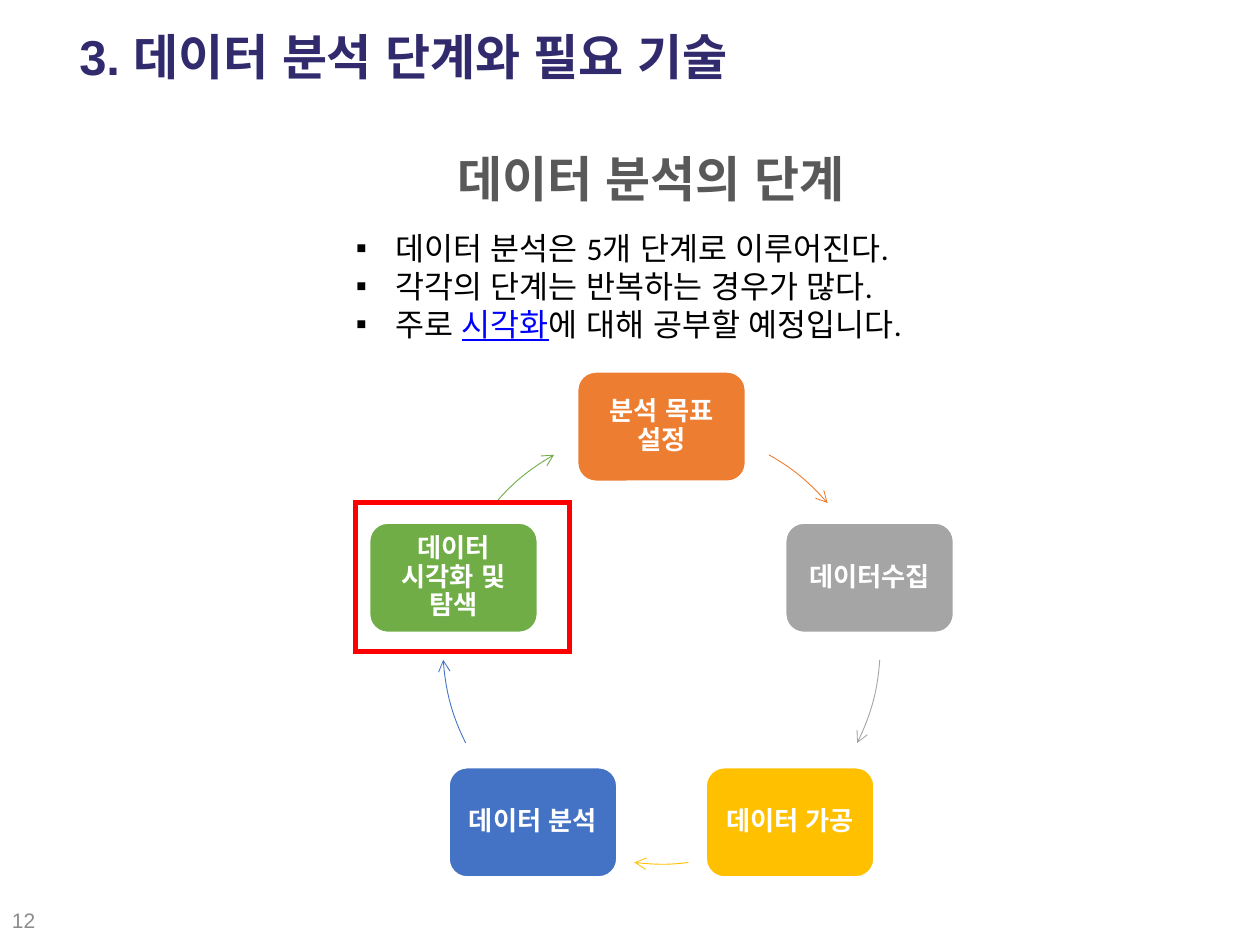
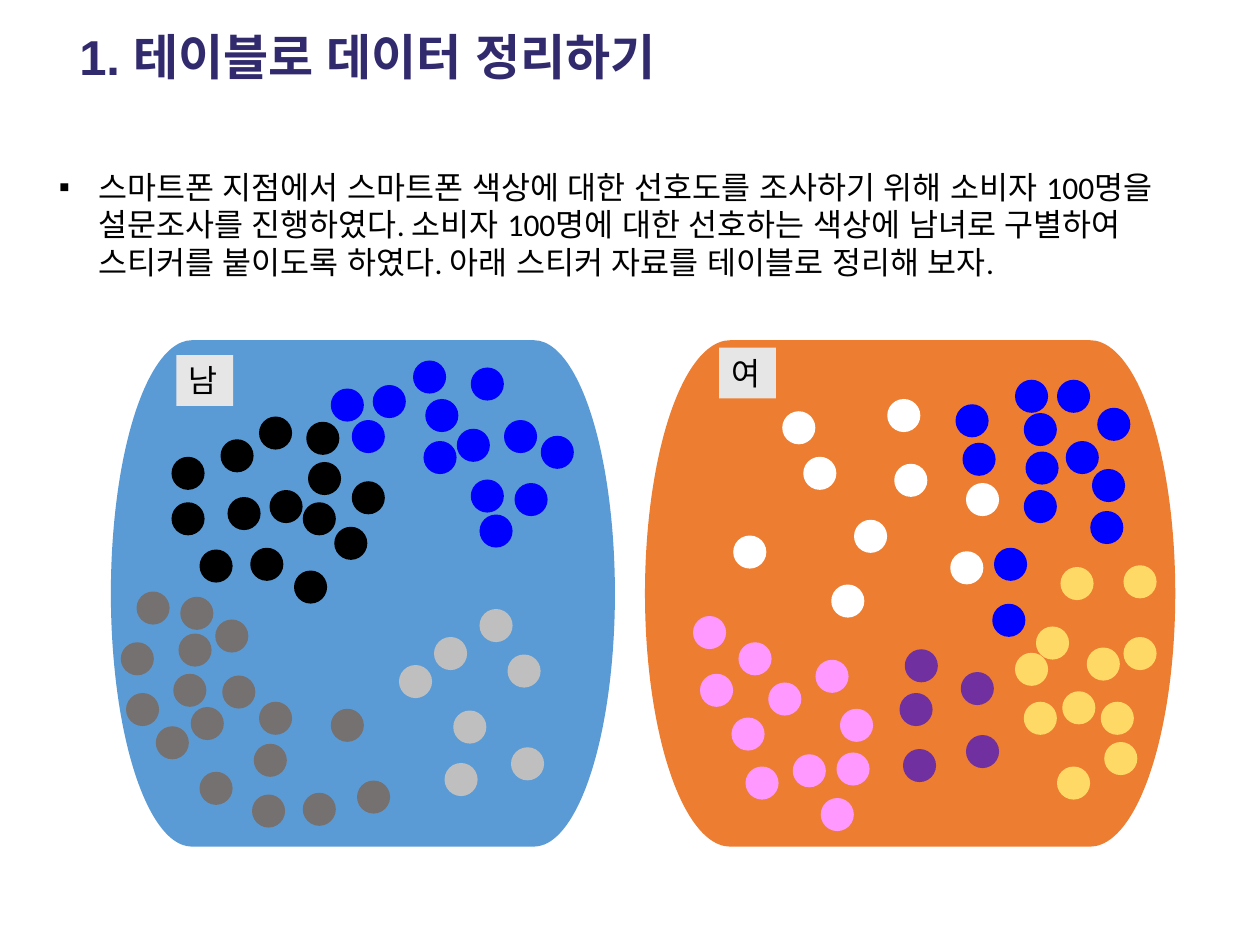
from math import cos, radians, sin, tan

from lxml import etree
from pptx import Presentation
from pptx import util as u
from pptx.dml.color import RGBColor
from pptx.enum import shapes, text
from pptx.oxml.ns import qn

Pt = u.Pt
SHAPE = shapes.MSO_SHAPE
ALIGN = text.PP_ALIGN
ANCHOR = text.MSO_ANCHOR

WHITE, BLACK, RED, BLUE = "FFFFFF", "000000", "FF0000", "0000FF"
ORANGE, GREY, GOLD, INDIGO, GREEN = "ED7D31", "A5A5A5", "FFC000", "4472C4", "70AD47"
SKY, LABEL_FILL = "5B9BD5", "E7E6E6"
TITLE_COLOR, HEADING_COLOR, NUMBER_COLOR = "312A6D", "595959", "8C8C8C"
HANGUL_FONT = "Arial"

CYCLE_X, CYCLE_Y, CYCLE_R = 378, 368.8, 125
STEP_W, STEP_H = 96, 62.6
DOT = 18.9

# Step text, colour, and start and end angle of the arrow that follows it
STEPS = [
    ("분석 목표 설정", ORANGE, 29.4, 49.4),
    ("데이터수집", GREY, 93.8, 116.5),
    ("데이터 가공", GOLD, 172.9, 187.1),
    ("데이터 분석", INDIGO, 243.5, 266.2),
    ("데이터 시각화 및 탐색", GREEN, 310.6, 330.6),
]

# Left and top of each sticker, by group and colour
MEN = {
    "000000": [(98, 261), (98, 287), (148, 238), (114, 314), (176, 264), (154, 280),
               (143, 313), (130, 284), (175, 241), (168, 326), (126, 251), (201, 275),
               (173, 287), (191, 301)],
    "0000FF": [(189, 222), (213, 220), (243, 228), (261, 245), (242, 252), (269, 210),
               (269, 274), (288, 240), (294, 276), (274, 294), (201, 240), (236, 206),
               (309, 249)],
    "767171": [(78, 338), (103, 341), (102, 362), (123, 354), (127, 386), (109, 404),
               (114, 441), (69, 367), (145, 425), (148, 401), (72, 396), (189, 405),
               (144, 454), (99, 385), (173, 453), (204, 446), (89, 415)],
    "BFBFBF": [(248, 364), (228, 380), (274, 348), (290, 374), (259, 406), (292, 427),
               (254, 436)],
}
WOMEN = {
    "FFFFFF": [(447, 235), (459, 261), (419, 306), (488, 297), (511, 265), (543, 315),
               (475, 334), (552, 276), (507, 228)],
    "0000FF": [(580, 217), (604, 217), (627, 233), (609, 252), (550, 253), (624, 268),
               (623, 292), (568, 313), (567, 345), (585, 236), (546, 231), (586, 258),
               (585, 280)],
    "FF99FF": [(396, 352), (422, 367), (400, 385), (439, 390), (418, 410), (453, 431),
               (466, 377), (478, 430), (426, 438), (469, 456), (480, 405)],
    "7030A0": [(517, 371), (514, 396), (549, 384), (552, 420), (516, 428)],
    "FFD966": [(592, 358), (580, 373), (606, 324), (585, 401), (604, 438), (642, 323),
               (642, 364), (621, 370), (629, 401), (607, 395), (631, 424)],
}


def paint(fmt, color):
    """Set a fill, or clear it when the colour is None."""
    if color is None:
        fmt.background()
    else:
        fmt.solid()
        fmt.fore_color.rgb = RGBColor.from_string(color)


def add_bullet(p, indent=22.5):
    pPr = p._p.get_or_add_pPr()
    pPr.set("marL", str(Pt(indent)))
    pPr.set("indent", str(-Pt(indent)))
    etree.SubElement(pPr, qn("a:buFont")).set("typeface", "Arial")
    etree.SubElement(pPr, qn("a:buChar")).set("char", "▪")


def write(sp, paragraphs, size=18, font="Calibri", color=BLACK, bold=False,
          align=ALIGN.LEFT, anchor=ANCHOR.TOP, bullet=False, spacing=None,
          inset=None, wrap=True):
    """Fill a shape with paragraphs, each a list of (text, accent colour or None)."""
    tf = sp.text_frame
    tf.word_wrap = wrap
    tf.vertical_anchor = anchor
    if inset is not None:
        tf.margin_left = tf.margin_right = tf.margin_top = tf.margin_bottom = Pt(inset)
    for i, parts in enumerate(paragraphs):
        p = tf.add_paragraph() if i else tf.paragraphs[0]
        if bullet:
            add_bullet(p)
        p.alignment = align
        if spacing:
            p.line_spacing = spacing
        for words, accent in parts:
            r = p.add_run()
            r.text = words
            r.font.size, r.font.name, r.font.bold = Pt(size), font, bold
            r.font.underline = True if accent else None
            paint(r.font.fill, accent or color)
            rPr = r._r.get_or_add_rPr()
            etree.SubElement(rPr, qn("a:ea")).set("typeface", HANGUL_FONT)


def add_text(s, box, paragraphs, **fmt):
    write(s.shapes.add_textbox(*map(Pt, box)), paragraphs, **fmt)


def add_line_detail(sp, tag, **attributes):
    """Append a join or arrowhead element to the outline of a shape."""
    etree.SubElement(sp._element.spPr.find(qn("a:ln")), qn(tag), attributes)


def add_box(s, kind, box, fill=None, line=None, width=1):
    sp = s.shapes.add_shape(kind, *map(Pt, box))
    sp.shadow.inherit = False
    paint(sp.fill, fill)
    paint(sp.line.fill, line)
    if line:
        sp.line.width = Pt(width)
        add_line_detail(sp, "a:miter", lim="800000")
    return sp


def add_slide(prs, title):
    s = prs.slides.add_slide(prs.slide_layouts[6])
    add_text(s, (38.2, 11.5, 539, 41), [[(title, None)]],
             size=28, font="Arial", color=TITLE_COLOR, bold=True)
    return s


def on_cycle(angle):
    """Point of the cycle at a clockwise angle in degrees from the top."""
    a = radians(angle)
    return CYCLE_X + CYCLE_R * sin(a), CYCLE_Y - CYCLE_R * cos(a)


def frame_on_cycle(sp, path):
    """Give an arc the frame of the whole cycle, keeping its points in place."""
    left, top, side = Pt(CYCLE_X - CYCLE_R), Pt(CYCLE_Y - CYCLE_R), Pt(2 * CYCLE_R)
    for point in path.iter(qn("a:pt")):
        point.set("x", str(int(point.get("x")) + sp.left - left))
        point.set("y", str(int(point.get("y")) + sp.top - top))
    path.set("w", str(side))
    path.set("h", str(side))
    sp.left, sp.top, sp.width, sp.height = left, top, side, side


def add_arc_arrow(s, start, end, color):
    """Draw one Bézier arc along the cycle, with an open arrowhead."""
    reach = 4 / 3 * tan(radians(end - start) / 4) * CYCLE_R

    def handle(angle, step):
        x, y = on_cycle(angle)
        return x + step * cos(radians(angle)), y + step * sin(radians(angle))

    first, *rest = [tuple(map(Pt, point)) for point in (
        on_cycle(start), handle(start, reach), handle(end, -reach), on_cycle(end))]
    builder = s.shapes.build_freeform(*first)
    builder.add_line_segments(rest, close=False)
    sp = builder.convert_to_shape()
    path = sp._element.find(".//" + qn("a:path"))
    curve = etree.SubElement(path, qn("a:cubicBezTo"))
    for segment in path.findall(qn("a:lnTo")):
        curve.append(segment[0])
        path.remove(segment)
    frame_on_cycle(sp, path)
    sp.shadow.inherit = False
    paint(sp.fill, None)
    paint(sp.line.fill, color)
    sp.line.width = Pt(0.5)
    add_line_detail(sp, "a:tailEnd", type="arrow")


def add_step(s, angle, words, color):
    x, y = on_cycle(angle)
    sp = add_box(s, SHAPE.ROUNDED_RECTANGLE,
                 (x - STEP_W / 2, y - STEP_H / 2, STEP_W, STEP_H), color, WHITE)
    write(sp, [[(words, None)]], size=15, color=WHITE, bold=True, align=ALIGN.CENTER,
          anchor=ANCHOR.MIDDLE, spacing=0.9, inset=4.3)


def add_group(s, label, label_at, panel, color, stickers):
    """Draw one panel with its label and stickers."""
    add_box(s, SHAPE.FLOWCHART_TERMINATOR, panel, color)
    sp = add_box(s, SHAPE.RECTANGLE, (*label_at, 32.4, 29), LABEL_FILL)
    write(sp, [[(label, None)]], wrap=False)
    sp.text_frame.auto_size = text.MSO_AUTO_SIZE.SHAPE_TO_FIT_TEXT
    for dot_color, places in stickers.items():
        for x, y in places:
            add_box(s, SHAPE.FLOWCHART_CONNECTOR, (x, y, DOT, DOT), dot_color)


def build_cycle_slide(prs):
    s = add_slide(prs, "3. 데이터 분석 단계와 필요 기술")
    add_text(s, (0, 511, 27, 29), [[("12", None)]], size=12, font="Arial",
             color=NUMBER_COLOR, align=ALIGN.CENTER, anchor=ANCHOR.MIDDLE, inset=0)
    add_text(s, (153.4, 81.4, 437, 41), [[("데이터 분석의 단계", None)]], size=28,
             font="Arial", color=HEADING_COLOR, bold=True, align=ALIGN.CENTER)
    add_text(s, (196.2, 127.4, 363.6, 72.7), [
        [("데이터 분석은 5개 단계로 이루어진다.", None)],
        [("각각의 단계는 반복하는 경우가 많다.", None)],
        [("주로 ", None), ("시각화", BLUE), ("에 대해 공부할 예정입니다.", None)],
    ], bullet=True)
    for i, (words, color, start, end) in enumerate(STEPS):
        add_step(s, i * 360 / len(STEPS), words, color)
        add_arc_arrow(s, start, end, color)
    add_box(s, SHAPE.RECTANGLE, (203, 287.3, 122.4, 85), line=RED, width=3)


def build_sticker_slide(prs):
    s = add_slide(prs, "1. 테이블로 데이터 정리하기")
    add_text(s, (26.6, 92.2, 667.4, 116.6), [[(
        "스마트폰 지점에서 스마트폰 색상에 대한 선호도를 조사하기 위해 소비자 100명을 "
        "설문조사를 진행하였다. 소비자 100명에 대한 선호하는 색상에 남녀로 구별하여 "
        "스티커를 붙이도록 하였다. 아래 스티커 자료를 테이블로 정리해 보자.", None)]],
        bullet=True)
    add_group(s, "남", (100.8, 203), (63.4, 194.4, 288, 289.4), SKY, MEN)
    add_group(s, "여", (411, 198.7), (368.6, 194.4, 303, 289.4), ORANGE, WOMEN)


def main():
    prs = Presentation()
    prs.slide_width, prs.slide_height = Pt(720), Pt(540)
    build_cycle_slide(prs)
    build_sticker_slide(prs)
    prs.save("out.pptx")


if __name__ == "__main__":
    main()
